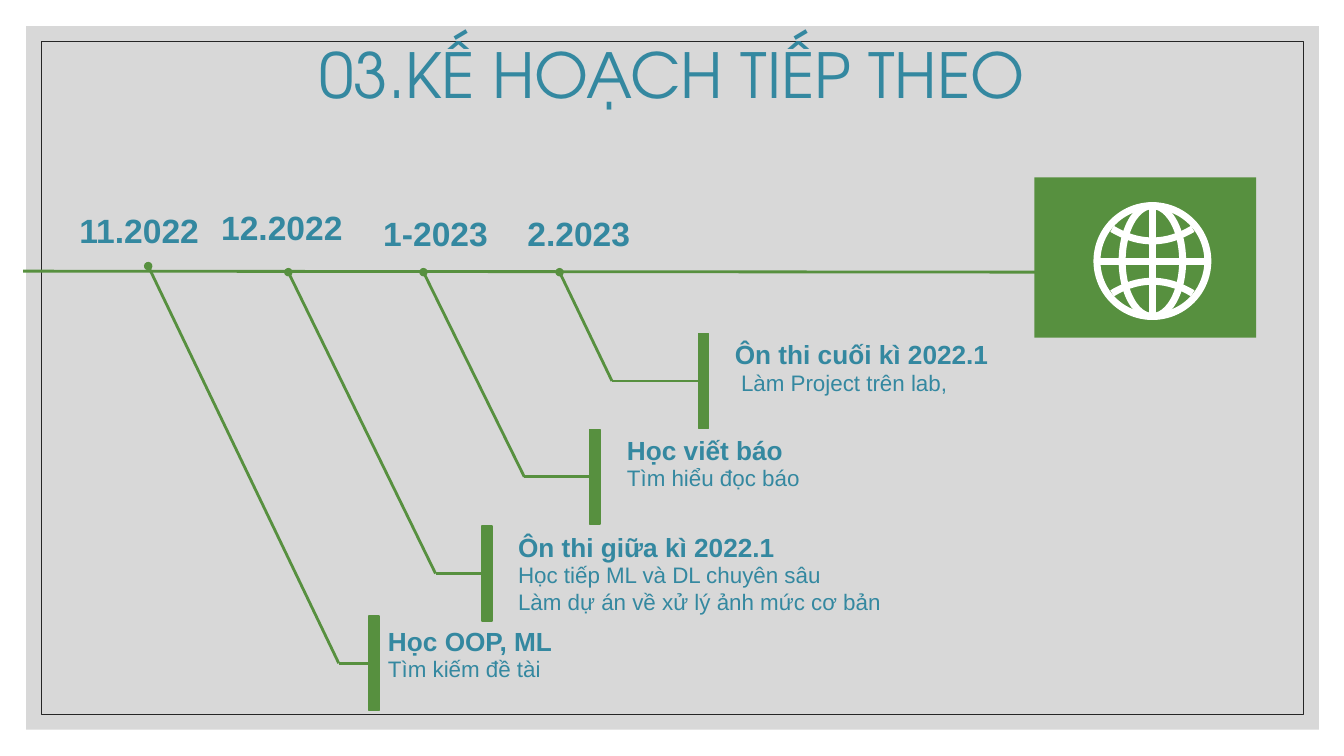
from lxml.etree import SubElement
from pptx import Presentation
from pptx.dml.color import RGBColor
from pptx.enum.shapes import MSO_CONNECTOR, MSO_SHAPE
from pptx.enum.text import MSO_ANCHOR, MSO_AUTO_SIZE, PP_ALIGN
from pptx.oxml.ns import qn
from pptx.util import Inches, Pt

TEAL = RGBColor(0x34, 0x88, 0xA0)
GREEN = RGBColor(0x57, 0x90, 0x3F)
GRAY = RGBColor(0xBF, 0xBF, 0xBF)
DARK = RGBColor(0x26, 0x26, 0x26)
WHITE = RGBColor(0xFF, 0xFF, 0xFF)

DATES = [
    ("12.2022", 2.04, 2.0, 1.51),
    ("11.2022", 0.65, 2.03, 1.46),
    ("1-2023", 3.35, 2.06, 1.94),
    ("2.2023", 4.75, 2.06, 1.98),
]
BRANCHES = [
    ((5.55, 2.7), (6.07, 3.78), (6.93, 3.31), (7.19, 3.31),
     "Ôn thi cuối kì 2022.1", [" Làm Project trên lab,"]),
    ((4.2, 2.7), (5.2, 4.73), (5.85, 4.26), (6.12, 4.26),
     "Học viết báo", ["Tìm hiểu đọc báo"]),
    ((2.86, 2.7), (4.32, 5.69), (4.78, 5.22), (5.04, 5.22),
     "Ôn thi giữa kì 2022.1",
     ["Học tiếp ML và DL chuyên sâu", "Làm dự án về xử lý ảnh mức cơ bản"]),
    ((1.47, 2.64), (3.36, 6.58), (3.66, 6.11), (3.75, 6.15),
     "Học OOP, ML", ["Tìm kiếm đề tài"]),
]


class Roadmap:
    """Draws styled timeline elements on one page."""

    def __init__(self, page):
        self.page = page
        self.font = "Arial"
        self.accent = GREEN
        self.ink = TEAL

    def style_text(self, frame, size, bold=False, font=None, align=PP_ALIGN.LEFT):
        for para in frame.paragraphs:
            para.alignment = align
            for span in para.runs:
                span.font.name = font or self.font
                span.font.size = Pt(size)
                span.font.bold = bold
                span.font.color.rgb = self.ink

    def title(self, text):
        box = self.page.shapes.title
        box.left, box.top = Inches(0), Inches(0.36)
        box.width, box.height = Inches(13.33), Inches(0.84)
        frame = box.text_frame
        frame.text = text
        frame.auto_size = MSO_AUTO_SIZE.NONE
        frame.vertical_anchor = MSO_ANCHOR.MIDDLE
        frame.paragraphs[0].line_spacing = 0.9
        self.style_text(frame, 44.4, font="TeX Gyre Adventor", align=PP_ALIGN.CENTER)
        box.element.getparent().append(box.element)

    def text(self, lines, left, top, width, height, size, bold=False,
             align=PP_ALIGN.LEFT, anchor=MSO_ANCHOR.TOP):
        box = self.page.shapes.add_textbox(
            Inches(left), Inches(top), Inches(width), Inches(height))
        frame = box.text_frame
        frame.word_wrap = True
        frame.vertical_anchor = anchor
        frame.text = "\n".join(lines)
        self.style_text(frame, size, bold, align=align)

    def shape(self, kind, left, top, width, height, fill=None, line=None, weight=1):
        box = self.page.shapes.add_shape(
            kind, Inches(left), Inches(top), Inches(width), Inches(height))
        self.paint(box, fill, line, weight)
        return box

    def paint(self, box, fill, line, weight):
        box.shadow.inherit = False
        if fill is None:
            box.fill.background()
        else:
            box.fill.solid()
            box.fill.fore_color.rgb = fill
        if line is None:
            box.line.fill.background()
        else:
            box.line.color.rgb = line
            box.line.width = Pt(weight)

    def panel(self):
        box = self.shape(MSO_SHAPE.RECTANGLE, 0.26, 0.26, 12.82, 6.98, GRAY)
        color = box.element.spPr.find(qn("a:solidFill"))[0]
        SubElement(color, qn("a:alpha")).set("val", "60000")
        self.shape(MSO_SHAPE.RECTANGLE, 0.41, 0.41, 12.52, 6.68, line=DARK, weight=0.5)

    def line(self, start, end, color=None, weight=2, dot=False):
        link = self.page.shapes.add_connector(
            MSO_CONNECTOR.STRAIGHT, *(Inches(value) for value in (*start, *end)))
        link.line.color.rgb = color or self.accent
        link.line.width = Pt(weight)
        properties = link.element.spPr
        if dot:
            outline = properties.find(qn("a:ln"))
            SubElement(outline, qn("a:headEnd")).set("type", "oval")
        SubElement(properties, qn("a:effectLst"))
        return link

    def branch(self, knot, elbow, corner, label, heading, details):
        self.line(knot, elbow, dot=True)
        bar = self.shape(MSO_SHAPE.RECTANGLE, *corner, 0.1, 0.94, self.accent, self.accent)
        self.line(corner, elbow).begin_connect(bar, 1)
        left, top = label
        self.text(details, left, top + 0.3, 4.2, 0.1 + 0.27 * len(details), 16)
        self.text([heading], left, top, 4.2, 0.42, 18.7, bold=True)

    def globe(self, x, y, radius, weight):
        for half_width in (radius, 0.3):
            self.shape(MSO_SHAPE.OVAL, x - half_width, y - radius,
                       2 * half_width, 2 * radius, line=WHITE, weight=weight)
        self.line((x - radius, y), (x + radius, y), WHITE, weight)
        self.line((x, y - radius), (x, y + radius), WHITE, weight)
        for side in (-1, 1):
            points = [(Inches(x + 0.04 * step),
                       Inches(y + side * (0.2 + 0.12 * (step / 10) ** 2)))
                      for step in range(-10, 11)]
            builder = self.page.shapes.build_freeform(*points[0])
            builder.add_line_segments(points[1:], close=False)
            self.paint(builder.convert_to_shape(), None, WHITE, weight)


def main():
    deck = Presentation()
    deck.slide_width, deck.slide_height = Inches(13.33), Inches(7.5)
    roadmap = Roadmap(deck.slides.add_slide(deck.slide_layouts[5]))
    roadmap.panel()
    roadmap.title("03.KẾ HOẠCH TIẾP THEO")
    roadmap.line((0.23, 2.69), (10.5, 2.7))
    for date, left, top, width in DATES:
        roadmap.text([date], left, top, width, 0.5, 24, bold=True,
                     align=PP_ALIGN.CENTER, anchor=MSO_ANCHOR.MIDDLE)
    for branch in BRANCHES:
        roadmap.branch(*branch)
    roadmap.shape(MSO_SHAPE.RECTANGLE, 10.26, 1.76, 2.2, 1.59, GREEN)
    roadmap.globe(11.43, 2.59, 0.55, 5)
    deck.save("out.pptx")


if __name__ == "__main__":
    main()
